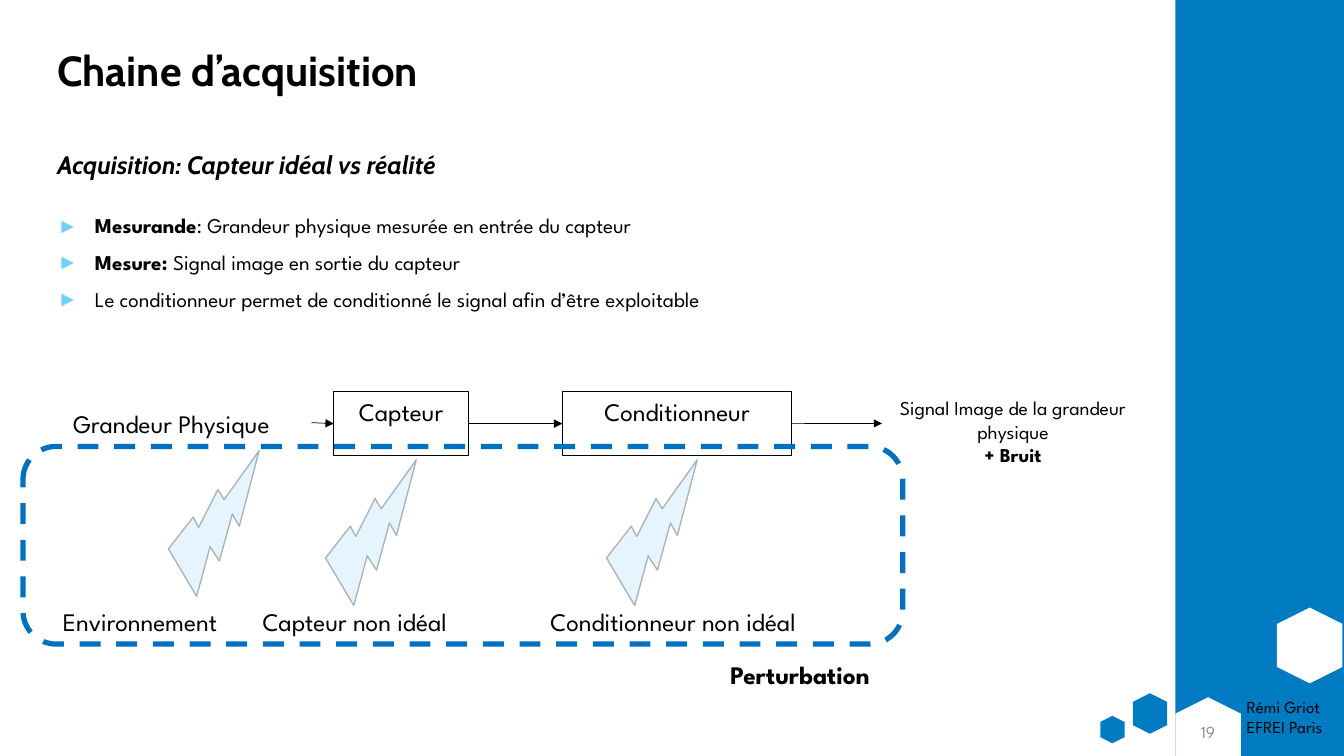
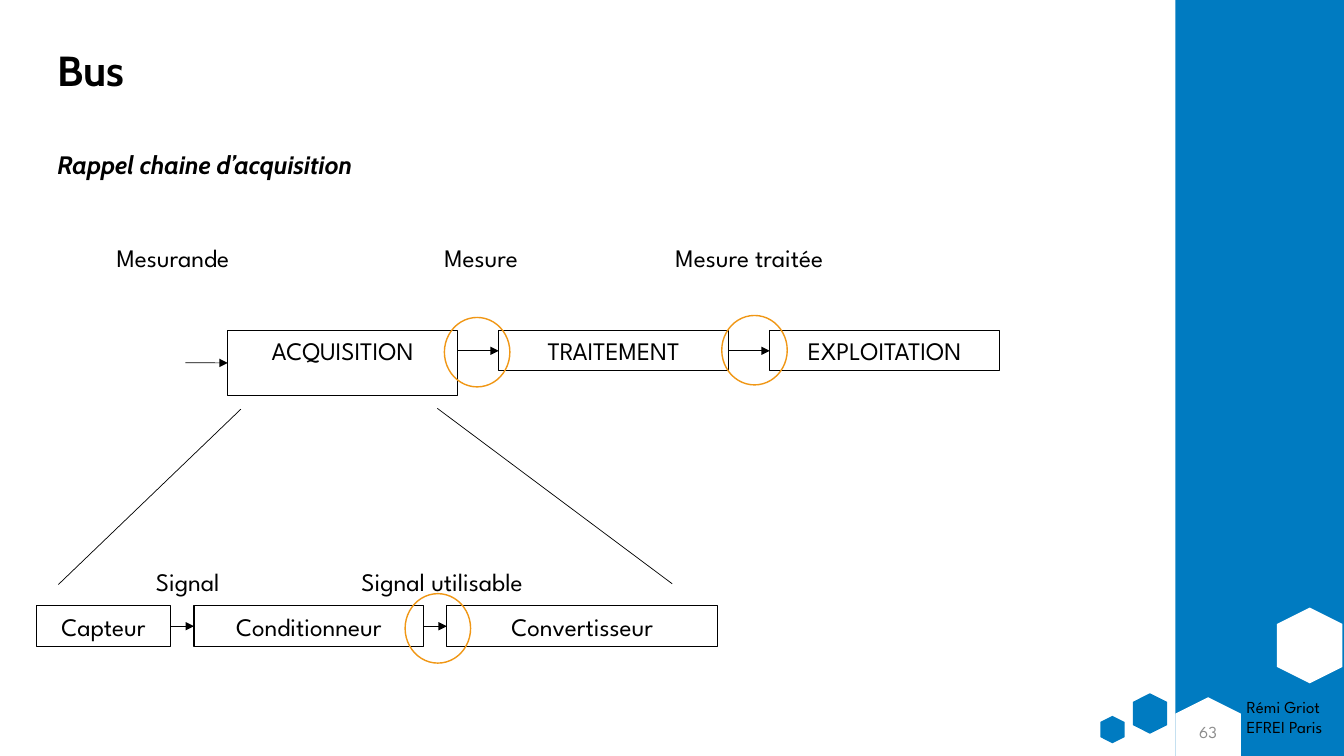
from lxml import etree
from pptx import Presentation
from pptx.dml.color import RGBColor
from pptx.enum.dml import MSO_LINE
from pptx.enum.shapes import MSO_CONNECTOR, MSO_SHAPE
from pptx.enum.text import MSO_ANCHOR, MSO_AUTO_SIZE, PP_ALIGN
from pptx.oxml.ns import qn
from pptx.util import Cm, Pt

RECT, HEXAGON = MSO_SHAPE.RECTANGLE, MSO_SHAPE.HEXAGON
OVAL, BOLT = MSO_SHAPE.OVAL, MSO_SHAPE.LIGHTNING_BOLT
ROUNDED = MSO_SHAPE.ROUNDED_RECTANGLE
LEFT, CENTER = PP_ALIGN.LEFT, PP_ALIGN.CENTER
TOP, MIDDLE = MSO_ANCHOR.TOP, MSO_ANCHOR.MIDDLE

BLUE, WHITE, BLACK, GREY = "007BC1", "FFFFFF", "000000", "8C8C8C"
BULLET_BLUE, DASH_BLUE, ORANGE = "6FCFFF", "0070C0", "F09715"
BOLT_FILL, BOLT_LINE = "E6F4FD", "AAB5BB"
HEADING_FONT, TEXT_FONT = "Cabin", "League Spartan"

rgb = RGBColor.from_string


def block(slide, preset, at, fill=None, line=None, width=0.75):
    """Add a preset shape; at is left, top, width, height in cm."""
    shape = slide.shapes.add_shape(preset, *map(Cm, at))
    shape.shadow.inherit = False
    if fill:
        shape.fill.solid()
        shape.fill.fore_color.rgb = rgb(fill)
    else:
        shape.fill.background()
    if line:
        shape.line.color.rgb = rgb(line)
        shape.line.width = Pt(width)
    else:
        shape.line.fill.background()
    return shape


def write(frame, paragraphs, size=18, align=LEFT, anchor=TOP, font=TEXT_FONT,
          color=BLACK, italic=False):
    """Fill a text frame; each paragraph is a list of (text, bold) runs."""
    frame.word_wrap = True
    frame.auto_size = MSO_AUTO_SIZE.NONE
    frame.vertical_anchor = anchor
    for index, runs in enumerate(paragraphs):
        paragraph = frame.add_paragraph() if index else frame.paragraphs[0]
        paragraph.alignment = align
        for text, bold in runs:
            run = paragraph.add_run()
            run.text = text
            run.font.name = font
            run.font.size = Pt(size)
            run.font.bold = bold
            run.font.italic = italic
            run.font.color.rgb = rgb(color)


prs = Presentation()
prs.slide_width, prs.slide_height = Cm(33.87), Cm(19.05)

# Layout: title, subtitle and list places
layout = prs.slide_layouts[3]
places = [(1.19, 0, 27.48, 3.68), (1.19, 3.73, 22.28, 1.02), (1.19, 5.31, 27.48, 8.31)]
holders = list(layout.placeholders)
for holder, place in zip(holders, places):
    holder.left, holder.top, holder.width, holder.height = map(Cm, place)
for unused in holders[len(places):]:
    unused.element.getparent().remove(unused.element)

chain = prs.slides.add_slide(layout)
bus = prs.slides.add_slide(layout)

# Shared band, hexagons and author, moved into the layout
decor = [block(chain, RECT, (29.62, 0, 4.25, 19.05), BLUE)]
for at, fill in [
    ((32.05, 15.44, 1.91, 1.65), WHITE),
    ((28.47, 17.55, 1.02, 0.86), BLUE),
    ((27.69, 18.08, 0.69, 0.61), BLUE),
    ((29.49, 17.7, 1.91, 1.65), WHITE),
]:
    hexagon = block(chain, HEXAGON, at, fill)
    hexagon.rotation = 90
    decor.append(hexagon)
author = chain.shapes.add_textbox(Cm(31.17), Cm(17.42), Cm(2.79), Cm(1.27))
write(author.text_frame, [[("Rémi Griot", False)], [("EFREI Paris", False)]], 12)
for part in decor + [author]:
    layout.shapes.element.append(part.element)

# Headings and page numbers
for slide, title, subtitle, number in [
    (chain, "Chaine d’acquisition", "Acquisition: Capteur idéal vs réalité", "19"),
    (bus, "Bus", "Rappel chaine d’acquisition", "63"),
]:
    title_frame = slide.shapes.title.text_frame
    write(title_frame, [[(title, True)]], 30, anchor=MIDDLE, font=HEADING_FONT)
    subtitle_frame = slide.placeholders[1].text_frame
    write(subtitle_frame, [[(subtitle, True)]], font=HEADING_FONT, italic=True)
    for frame in (title_frame, subtitle_frame):
        frame.paragraphs[0].line_spacing = 0.9
        frame.paragraphs[0].space_before = Pt(0)
    props = subtitle_frame.paragraphs[0].alignment is not None and \
        subtitle_frame.paragraphs[0]._p.get_or_add_pPr()
    props.set("marL", "0")
    props.set("indent", "0")
    etree.SubElement(props, qn("a:buNone"))
    page = slide.shapes.add_textbox(Cm(29.62), Cm(17.93), Cm(1.65), Cm(1.02))
    write(page.text_frame, [[(number, False)]], 12, CENTER, MIDDLE, color=GREY)

# Definitions
definitions = chain.placeholders[2].text_frame
write(definitions, [
    [("Mesurande", True), (": Grandeur physique mesurée en entrée du capteur", False)],
    [("Mesure: ", True), ("Signal image en sortie du capteur", False)],
    [("Le conditionneur permet de conditionné le signal afin d’être exploitable", False)],
], 15)
for index, paragraph in enumerate(definitions.paragraphs):
    paragraph.line_spacing = 0.9
    paragraph.space_before = Pt(10 if index else 0)
    props = paragraph._p.get_or_add_pPr()
    props.set("marL", str(Cm(0.95)))
    props.set("indent", str(-Cm(0.95)))
    bullet_color = etree.SubElement(props, qn("a:buClr"))
    etree.SubElement(bullet_color, qn("a:srgbClr"), val=BULLET_BLUE)
    etree.SubElement(props, qn("a:buFont"), typeface="Arial")
    etree.SubElement(props, qn("a:buChar"), char="►")
unused_list = bus.placeholders[2].element
unused_list.getparent().remove(unused_list)

# Stages of the chains
STAGE_LEFT, STAGE_STEP = 5.74, 6.83
DETAIL_LEFT, DETAIL_GAP = 0.91, 0.58
SENSOR_WIDTH, STAGE_WIDTH, CONVERTER_WIDTH = 3.4, 5.79, 6.83

stage_specs = [
    (chain, "Capteur", (8.41, 9.86, SENSOR_WIDTH, 1.63)),
    (chain, "Conditionneur", (14.17, 9.86, STAGE_WIDTH, 1.63)),
]
for index, (name, height) in enumerate(
        [("ACQUISITION", 1.63), ("TRAITEMENT", 1.02), ("EXPLOITATION", 1.02)]):
    left = STAGE_LEFT + index * STAGE_STEP
    stage_specs.append((bus, name, (left, 8.33, STAGE_WIDTH, height)))
left = DETAIL_LEFT
for name, width in [("Capteur", SENSOR_WIDTH), ("Conditionneur", STAGE_WIDTH),
                    ("Convertisseur", CONVERTER_WIDTH)]:
    stage_specs.append((bus, name, (left, 15.27, width, 1.02)))
    left += width + DETAIL_GAP

stages = []
for slide, name, at in stage_specs:
    stage = block(slide, RECT, at, line=BLACK)
    write(stage.text_frame, [[(name, False)]], align=CENTER)
    stages.append(stage)
(sensor, conditioner, acquisition, processing, exploitation,
 detail_sensor, detail_conditioner, detail_converter) = stages

# Links: each end is a stage, joined at its side, or a point in cm
for slide, start, end, has_arrow in [
    (chain, (7.85, 10.65), sensor, True),
    (chain, sensor, conditioner, True),
    (chain, conditioner, (22.23, 10.67), True),
    (bus, (4.67, 9.14), acquisition, True),
    (bus, (11.53, 8.84), processing, True),
    (bus, processing, exploitation, True),
    (bus, detail_sensor, detail_conditioner, True),
    (bus, detail_conditioner, detail_converter, True),
    (bus, (1.47, 14.73), (6.07, 10.31), False),
    (bus, (16.94, 14.71), (11.02, 10.29), False),
]:
    start_point = start if isinstance(start, tuple) else (0, 0)
    end_point = end if isinstance(end, tuple) else (0, 0)
    link = slide.shapes.add_connector(
        MSO_CONNECTOR.STRAIGHT, *map(Cm, start_point + end_point))
    if start in stages:
        link.begin_connect(start, 3)
    if end in stages:
        link.end_connect(end, 1)
    link.line.color.rgb = rgb(BLACK)
    link.line.width = Pt(0.5)
    if has_arrow:
        etree.SubElement(link.line._get_or_add_ln(), qn("a:tailEnd"), type="triangle")
    etree.SubElement(link.element.spPr, qn("a:effectLst"))

# Disturbances and their frame
for left, top in [(3.84, 11.89), (7.8, 12.12), (14.88, 12.12)]:
    bolt = block(chain, BOLT, (left, top, 3.33, 2.69), BOLT_FILL, BOLT_LINE, 1)
    bolt.rotation = 259.7
disturbance = block(chain, ROUNDED, (0.58, 11.25, 22.17, 4.98), line=DASH_BLUE, width=3.75)
disturbance.line.dash_style = MSO_LINE.DASH

# Bus positions
for left, top in [(11.2, 8), (10.21, 14.96), (18.19, 7.95)]:
    block(bus, OVAL, (left, top, 1.65, 1.75), line=ORANGE, width=1)

# Labels
for slide, text, at, align, bold in [
    (chain, "Grandeur Physique", (0.79, 10.16, 7.06, 1.63), CENTER, False),
    (chain, "Environnement", (0, 15.16, 7.06, 1.02), CENTER, False),
    (chain, "Capteur non idéal", (5.41, 15.16, 7.06, 1.02), CENTER, False),
    (chain, "Conditionneur non idéal", (12.47, 15.16, 8.99, 1.02), CENTER, False),
    (chain, "Perturbation", (18.16, 16.48, 5.51, 1.02), LEFT, True),
    (bus, "Mesurande", (0.51, 5.99, 7.7, 1.02), CENTER, False),
    (bus, "Mesure", (10.95, 5.99, 2.77, 1.02), LEFT, False),
    (bus, "Mesure traitée", (15.47, 5.99, 6.83, 1.02), CENTER, False),
    (bus, "Signal", (3.68, 14.14, 2.41, 1.02), LEFT, False),
    (bus, "Signal utilisable", (8.86, 14.14, 5.51, 1.02), LEFT, False),
]:
    label = slide.shapes.add_textbox(*map(Cm, at))
    write(label.text_frame, [[(text, bold)]], align=align)
output = chain.shapes.add_textbox(Cm(21.77), Cm(9.86), Cm(7.52), Cm(2.06))
write(output.text_frame, [
    [("Signal Image de la grandeur physique", False)],
    [("+ Bruit", True)],
], 14, CENTER)

prs.save("out.pptx")
